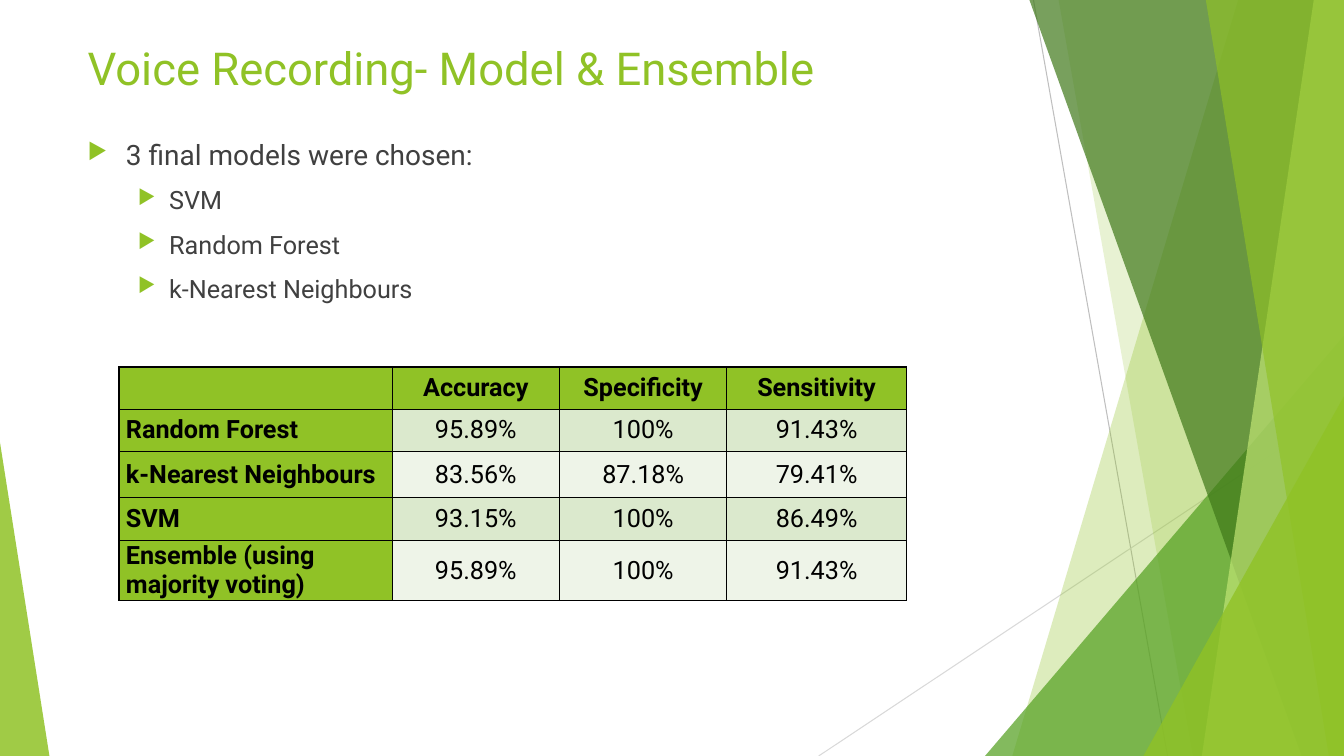
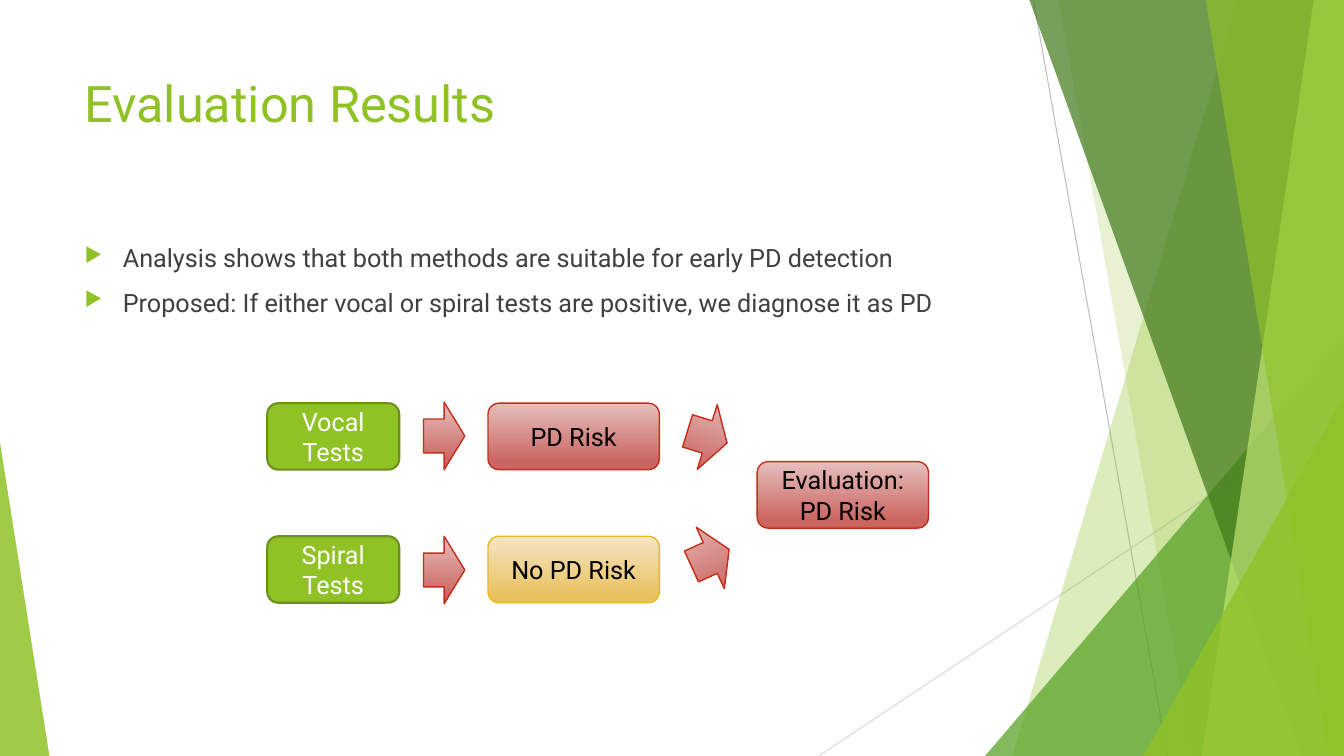
from dataclasses import dataclass

import lxml.etree
import pptx
import pptx.dml.color
import pptx.enum.shapes
import pptx.enum.text
import pptx.oxml.ns
import pptx.util

EMU_PER_PX = 9144
WIDTH, HEIGHT = 1333, 750
FONT = "Roboto"
GREEN, DARK_GREEN = "90C226", "6B901C"
INK, BLACK, WHITE = "404040", "000000", "FFFFFF"

SHAPES = pptx.enum.shapes.MSO_SHAPE
ALIGN = pptx.enum.text.PP_ALIGN
ANCHOR = pptx.enum.text.MSO_ANCHOR
qn = pptx.oxml.ns.qn


@dataclass
class Ray:
    start: tuple[int, int]
    end: tuple[int, int]
    colour: str


@dataclass
class Panel:
    """A band from a slanted left edge to the right edge of the slide."""
    top_x: int
    bottom_x: int
    colour: str
    opacity: int


@dataclass
class Wedge:
    """A triangle standing on the bottom of the slide; peak 0 is left, 1 is right."""
    left: int
    top: int
    width: int
    peak: int
    colour: str
    opacity: int


@dataclass
class Bullet:
    text: str
    size: int = 18
    level: int = 0


@dataclass
class Finish:
    fill: tuple[str, ...]
    line: str
    text: str = BLACK
    line_width: float = 1


@dataclass
class Step:
    text: str
    left: int
    top: int
    width: int
    finish: Finish


@dataclass
class Arrow:
    left: int
    top: int
    rotation: float = 0


RAYS = [Ray((1025, 0), (1158, HEIGHT), "BFBFBF"),
        Ray((WIDTH, 403), (812, HEIGHT), "D9D9D9")]
FACETS = [
    Panel(1228, 1004, GREEN, 30),
    Panel(1050, 1183, GREEN, 20),
    Wedge(977, 333, 356, 1, "54A021", 72),
    Panel(1021, 1291, "3F7819", 70),
    Panel(1303, 1192, "C0E474", 70),
    Panel(1196, 1318, GREEN, 65),
    Wedge(1134, 393, 199, 1, GREEN, 80),
    Wedge(0, 439, 49, 0, GREEN, 85),
]

COLUMN_WIDTHS = [271, 166, 166, 178]
ROW_HEIGHTS = [42, 42, 46, 42, 59]
SCORES = [
    ["", "Accuracy", "Specificity", "Sensitivity"],
    ["Random Forest", "95.89%", "100%", "91.43%"],
    ["k-Nearest Neighbours", "83.56%", "87.18%", "79.41%"],
    ["SVM", "93.15%", "100%", "86.49%"],
    ["Ensemble (using majority voting)", "95.89%", "100%", "91.43%"],
]
ROW_FILLS = ["EEF4E8", "DBE9CD"]

TEST = Finish((GREEN,), DARK_GREEN, WHITE, 1.5)
RISK = Finish(("E6BFBE", "CB6560"), "C42F1A")
NO_RISK = Finish(("F5E5C5", "E9C260"), "E6B91E")
VOCAL_Y, SPIRAL_Y = 400, 532
STEPS = [
    Step("Vocal Tests", 265, VOCAL_Y, 131, TEST),
    Step("Spiral Tests", 265, SPIRAL_Y, 131, TEST),
    Step("PD Risk", 484, VOCAL_Y, 170, RISK),
    Step("No PD Risk", 484, SPIRAL_Y, 170, NO_RISK),
    Step("Evaluation: PD Risk", 751, 458, 170, RISK),
]
ARROWS = [Arrow(420, VOCAL_Y - 1), Arrow(420, SPIRAL_Y),
          Arrow(681, VOCAL_Y, 17.1), Arrow(684, 520, 335.5)]


def px(*lengths: int) -> list[int]:
    return [pptx.util.Emu(length * EMU_PER_PX) for length in lengths]


def rgb(colour: str) -> pptx.dml.color.RGBColor:
    return pptx.dml.color.RGBColor.from_string(colour)


def add_xml(parent, tag: str, **attributes):
    return lxml.etree.SubElement(parent, qn(tag), attributes)


def write(paragraph, text: str, *, size: float = 18, colour: str = BLACK,
          bold: bool = False, align=ALIGN.LEFT) -> None:
    paragraph.text = text
    paragraph.alignment = align
    font = paragraph.font
    font.name, font.size, font.bold = FONT, pptx.util.Pt(size), bold
    font.color.rgb = rgb(colour)


def paint_translucent(shape, colour: str, opacity: int) -> None:
    shape.shadow.inherit = False
    shape.line.fill.background()
    shape.fill.solid()
    shape.fill.fore_color.rgb = rgb(colour)
    solid = shape.element.spPr.find(qn("a:solidFill"))
    add_xml(solid[0], "a:alpha", val=str(opacity * 1000))


def paint(shape, finish: Finish) -> None:
    shape.shadow.inherit = False
    shape.line.color.rgb = rgb(finish.line)
    shape.line.width = pptx.util.Pt(finish.line_width)
    if len(finish.fill) == 1:
        shape.fill.solid()
        shape.fill.fore_color.rgb = rgb(finish.fill[0])
        return
    shape.fill.gradient()
    shape.fill.gradient_angle = 270
    for stop, colour, position in zip(shape.fill.gradient_stops, finish.fill, (0, 0.88)):
        stop.color.rgb = rgb(colour)
        stop.position = position


def add_backdrop(slide) -> None:
    for ray in RAYS:
        line = slide.shapes.add_connector(
            pptx.enum.shapes.MSO_CONNECTOR.STRAIGHT, *px(*ray.start, *ray.end))
        line.line.color.rgb = rgb(ray.colour)
        line.line.width = pptx.util.Pt(0.75)
        add_xml(line.element.spPr, "a:effectLst")
    for facet in FACETS:
        if isinstance(facet, Panel):
            outline = slide.shapes.build_freeform(facet.top_x, 0, scale=EMU_PER_PX)
            outline.add_line_segments(
                [(WIDTH, 0), (WIDTH, HEIGHT), (facet.bottom_x, HEIGHT)], close=True)
            shape = outline.convert_to_shape()
        else:
            shape = slide.shapes.add_shape(
                SHAPES.ISOSCELES_TRIANGLE,
                *px(facet.left, facet.top, facet.width, HEIGHT - facet.top))
            shape.adjustments[0] = facet.peak
        paint_translucent(shape, facet.colour, facet.opacity)


def add_text_frame(slide, left: int, top: int, height: int):
    frame = slide.shapes.add_textbox(*px(left, top, 940, height)).text_frame
    frame.word_wrap = True
    return frame


def add_title(slide, text: str, left: int, top: int, height: int, size: float) -> None:
    frame = add_text_frame(slide, left, top, height)
    write(frame.paragraphs[0], text, size=size, colour=GREEN)


def add_bullets(slide, bullets: list[Bullet], left: int, top: int, height: int) -> None:
    frame = add_text_frame(slide, left, top, height)
    for index, bullet in enumerate(bullets):
        paragraph = frame.add_paragraph() if index else frame.paragraphs[0]
        paragraph.level = bullet.level
        if index:
            paragraph.space_before = pptx.util.Pt(10)
        margin, hanging = px(*((81, 31) if bullet.level else (38, 38)))
        properties = paragraph._p.get_or_add_pPr()
        properties.set("marL", str(margin))
        properties.set("indent", str(-hanging))
        add_xml(add_xml(properties, "a:buClr"), "a:srgbClr", val=GREEN)
        add_xml(properties, "a:buSzPct", val="80000")
        add_xml(properties, "a:buChar", char="▶")
        write(paragraph, bullet.text, size=bullet.size, colour=INK)


def add_borders(cell) -> None:
    properties = cell._tc.get_or_add_tcPr()
    for side in ("a:lnL", "a:lnR", "a:lnT", "a:lnB"):
        border = add_xml(properties, side, w=str(pptx.util.Pt(1)))
        add_xml(add_xml(border, "a:solidFill"), "a:srgbClr", val=BLACK)


def add_score_table(slide, left: int, top: int) -> None:
    table = slide.shapes.add_table(
        len(SCORES), len(SCORES[0]),
        *px(left, top, sum(COLUMN_WIDTHS), sum(ROW_HEIGHTS))).table
    for column, width in zip(table.columns, px(*COLUMN_WIDTHS)):
        column.width = width
    for row, height in zip(table.rows, px(*ROW_HEIGHTS)):
        row.height = height
    for r, scores in enumerate(SCORES):
        for c, text in enumerate(scores):
            cell = table.cell(r, c)
            heading = r == 0 or c == 0
            add_borders(cell)
            cell.fill.solid()
            cell.fill.fore_color.rgb = rgb(GREEN if heading else ROW_FILLS[r % 2])
            cell.vertical_anchor = ANCHOR.MIDDLE
            cell.margin_left, cell.margin_right = px(7, 7)
            cell.margin_top = cell.margin_bottom = 0
            write(cell.text_frame.paragraphs[0], text, bold=heading,
                  align=ALIGN.CENTER if c else ALIGN.LEFT)


def add_step(slide, step: Step) -> None:
    box = slide.shapes.add_shape(
        SHAPES.ROUNDED_RECTANGLE, *px(step.left, step.top, step.width, 66))
    paint(box, step.finish)
    box.text_frame.word_wrap = True
    box.text_frame.vertical_anchor = ANCHOR.MIDDLE
    write(box.text_frame.paragraphs[0], step.text,
          colour=step.finish.text, align=ALIGN.CENTER)


def add_arrow(slide, arrow: Arrow) -> None:
    shape = slide.shapes.add_shape(SHAPES.RIGHT_ARROW, *px(arrow.left, arrow.top, 41, 67))
    shape.rotation = arrow.rotation
    paint(shape, RISK)


def add_slide(deck):
    slide = deck.slides.add_slide(deck.slide_layouts[6])
    add_backdrop(slide)
    return slide


def build_model_slide(deck) -> None:
    slide = add_slide(deck)
    add_title(slide, "Voice Recording- Model & Ensemble", 77, 35, 52, 32.4)
    add_bullets(slide, [
        Bullet("3 final models were chosen:", size=20),
        Bullet("SVM", level=1),
        Bullet("Random Forest", level=1),
        Bullet("k-Nearest Neighbours", level=1),
    ], 77, 131, 519)
    add_score_table(slide, 118, 364)


def build_evaluation_slide(deck) -> None:
    slide = add_slide(deck)
    add_title(slide, "Evaluation Results", 74, 67, 144, 36)
    add_bullets(slide, [
        Bullet("Analysis shows that both methods are suitable for early PD detection"),
        Bullet("Proposed: If either vocal or spiral tests are positive, we diagnose it as PD"),
    ], 74, 236, 424)
    for step in STEPS:
        add_step(slide, step)
    for arrow in ARROWS:
        add_arrow(slide, arrow)


def main() -> None:
    deck = pptx.Presentation()
    deck.slide_width, deck.slide_height = px(WIDTH, HEIGHT)
    build_model_slide(deck)
    build_evaluation_slide(deck)
    deck.save("out.pptx")


if __name__ == "__main__":
    main()
